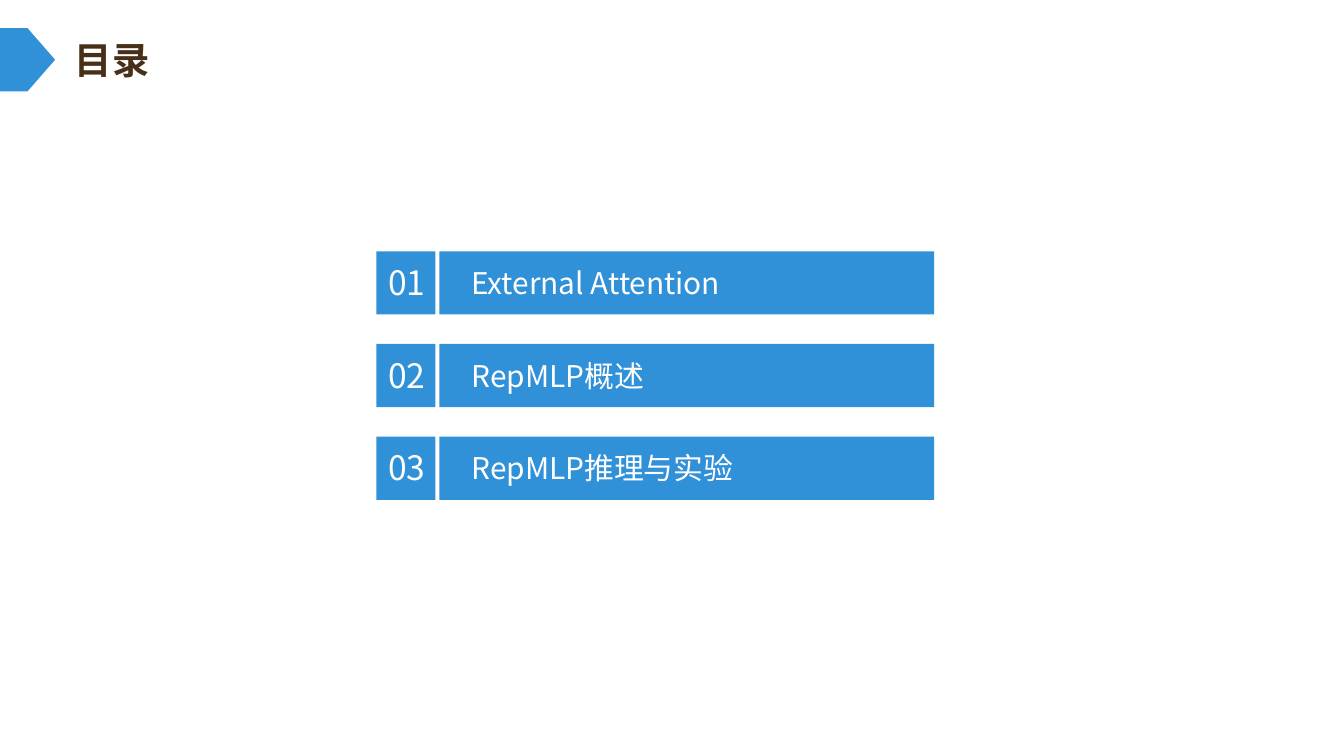
from pptx import Presentation
from pptx.dml.color import RGBColor
from pptx.enum import shapes, text
from pptx.oxml.ns import qn
from pptx.util import Inches, Pt

TITLE = "目录"
# Section title and width of its text box
SECTIONS = [
    ("External Attention", 2.14),
    ("RepMLP概述", 1.55),
    ("RepMLP推理与实验", 2.21),
]
FONT = "Noto Sans CJK SC"
BLUE, BROWN, WHITE = "3090D8", "483018", "FFFFFF"
FIRST_ROW_TOP, ROW_PITCH, BAR_HEIGHT = 1.87, 0.69, 0.47


def color(hex_string):
    return RGBColor.from_string(hex_string)


def add_block(slide, kind, left, top, width):
    """Add a blue shape of the common bar height."""
    shape = slide.shapes.add_shape(
        kind, Inches(left), Inches(top), Inches(width), Inches(BAR_HEIGHT))
    shape.shadow.inherit = False
    shape.fill.solid()
    shape.fill.fore_color.rgb = color(BLUE)
    shape.line.fill.background()


def add_label(slide, content, left, top, width, height, size, ink=WHITE, bold=False):
    box = slide.shapes.add_textbox(
        Inches(left), Inches(top), Inches(width), Inches(height))
    frame = box.text_frame
    frame.word_wrap = False
    frame.auto_size = text.MSO_AUTO_SIZE.SHAPE_TO_FIT_TEXT
    frame.text = content
    run = frame.paragraphs[0].runs[0]
    run.font.name = FONT
    run.font.size = Pt(size)
    run.font.bold = bold
    run.font.color.rgb = color(ink)
    # East Asian characters take their font from a separate element
    east_asian = run.font._element.makeelement(qn("a:ea"), {"typeface": FONT})
    run.font._element.find(qn("a:latin")).addnext(east_asian)


def main():
    presentation = Presentation()
    presentation.slide_width = Inches(10)
    presentation.slide_height = presentation.slide_width * 9 // 16
    slide = presentation.slides.add_slide(presentation.slide_layouts[6])

    rectangle = shapes.MSO_SHAPE.RECTANGLE
    for index, (section, width) in enumerate(SECTIONS):
        top = FIRST_ROW_TOP + index * ROW_PITCH
        add_block(slide, rectangle, 2.8, top, 0.44)
        add_label(slide, f"{index + 1:02d}", 2.79, top + 0.03, 0.5, 0.4, 18)
        add_block(slide, rectangle, 3.27, top, 3.68)
        add_label(slide, section, 3.41, top + 0.05, width, 0.37, 16)

    add_block(slide, shapes.MSO_SHAPE.PENTAGON, 0, 0.21, 0.41)
    add_label(slide, TITLE, 0.46, 0.23, 0.76, 0.44, 20, BROWN, bold=True)

    presentation.save("out.pptx")


if __name__ == "__main__":
    main()
